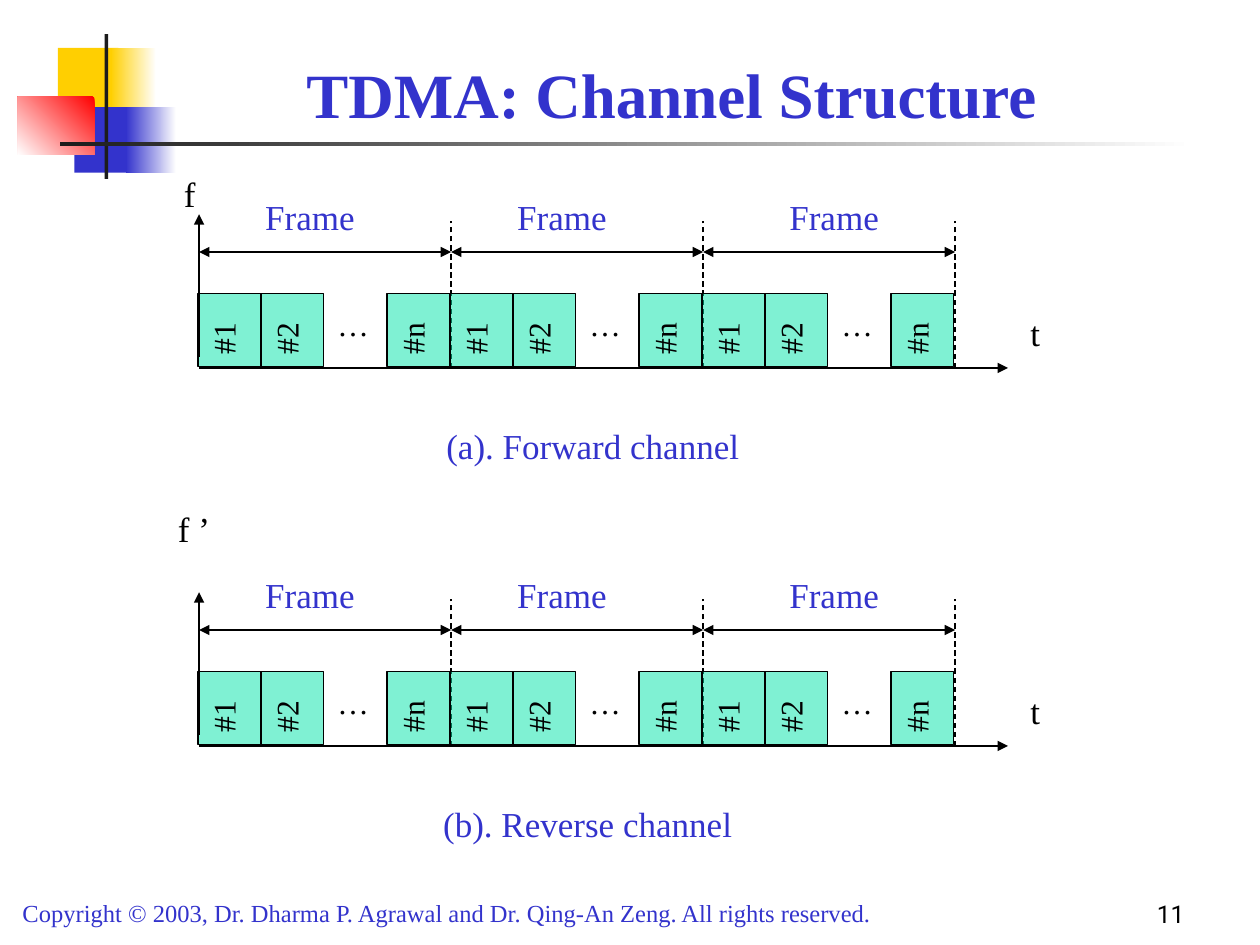
from lxml import etree
from pptx import Presentation
from pptx.dml.color import RGBColor
from pptx.enum.dml import MSO_LINE
from pptx.enum.shapes import MSO_CONNECTOR, MSO_SHAPE
from pptx.enum.text import MSO_ANCHOR, MSO_AUTO_SIZE, PP_ALIGN
from pptx.oxml.ns import qn
from pptx.util import Inches, Pt

LEFT, CENTER, RIGHT = PP_ALIGN.LEFT, PP_ALIGN.CENTER, PP_ALIGN.RIGHT
TOP, BOTTOM = MSO_ANCHOR.TOP, MSO_ANCHOR.BOTTOM
GROW, FIXED = MSO_AUTO_SIZE.SHAPE_TO_FIT_TEXT, MSO_AUTO_SIZE.NONE
RECT, STRAIGHT, DASH = MSO_SHAPE.RECTANGLE, MSO_CONNECTOR.STRAIGHT, MSO_LINE.DASH
SERIF = "Times New Roman"
BLUE, BLACK, DARK, WHITE = "3333CC", "000000", "1C1C1C", "FFFFFF"
GOLD, RED, GREEN = "FFCF01", "FF0000", "00E4A8"
rgb = RGBColor.from_string

deck = Presentation()
deck.slide_width, deck.slide_height = Inches(10), Inches(7.5)
slide = deck.slides.add_slide(deck.slide_layouts[5])
shapes = slide.shapes


def write(shape, text, size, color=BLACK, align=LEFT, font=SERIF, anchor=TOP, fit=GROW):
    frame = shape.text_frame
    frame.word_wrap, frame.auto_size = True, fit
    frame.vertical_anchor = anchor
    frame.text = text
    para = frame.paragraphs[0]
    para.alignment = align
    para.font.name, para.font.size = font, Pt(size)
    para.font.color.rgb = rgb(color)
    return para


def draw_line(x1, y1, x2, y2, ends=(), dash=None):
    """Draw a thin black line; ends lists the arrowhead tags it carries."""
    line = shapes.add_connector(STRAIGHT, Inches(x1), Inches(y1), Inches(x2), Inches(y2))
    line.line.width = Pt(0.75)
    line.line.color.rgb = rgb(BLACK)
    if dash:
        line.line.dash_style = dash
    props = line._element.spPr
    for end in ends:
        etree.SubElement(props.find(qn("a:ln")), qn(end), type="triangle")
    etree.SubElement(props, qn("a:effectLst"))


# Corner ornament: a single colour is solid, a pair is a gradient
ornament = [
    (0.46, 0.38, 0.48, 0.52, [GOLD], 0),
    (0.88, 0.38, 0.36, 0.52, [WHITE, GOLD], 180),
    (0.59, 0.85, 0.46, 0.52, [BLUE], 0),
    (1, 0.85, 0.4, 0.52, [WHITE, BLUE], 180),
    (0.14, 0.77, 0.61, 0.46, [RED, WHITE], 225),
    (0.83, 0.27, 0.03, 1.15, [DARK], 0),
    (0.48, 1.13, 9, 0.03, [WHITE, DARK], 180),
]
for x, y, w, h, colors, angle in ornament:
    block = shapes.add_shape(RECT, Inches(x), Inches(y), Inches(w), Inches(h))
    block.shadow.inherit = False
    block.line.fill.background()
    if len(colors) == 1:
        block.fill.solid()
        block.fill.fore_color.rgb = rgb(colors[0])
    else:
        block.fill.gradient()
        block.fill.gradient_angle = angle
        for stop, color, place in zip(block.fill.gradient_stops, colors, (0, 1)):
            stop.color.rgb = rgb(color)
            stop.position = place

title = shapes.title
title.left, title.top = Inches(1.08), Inches(0.42)
title.width, title.height = Inches(8.5), Inches(0.67)
write(title, "TDMA: Channel Structure", 36, BLUE, CENTER,
      anchor=BOTTOM, fit=FIXED).font.bold = True

# Each channel: top offset, axis name and its place, caption and its width
channels = [
    (0, "f ", 1.32, "(a). Forward channel", 2.75),
    (3, "f ’", 3.98, "(b). Reverse channel", 2.67),
]
starts = [1.58, 3.58, 5.58]
names = [1.92, 3.92, 6.08]
slots = [("#1", 0), ("#2", 0.5), ("#n", 1.5)]

for top, axis, high, caption, wide in channels:
    labels = [
        (1.08, high, 0.92, axis, 20, BLACK, CENTER),
        (8.08, top + 2.42, 0.58, "t", 20, BLACK, LEFT),
        (3.33, top + 3.32, wide, caption, 20, BLUE, CENTER),
    ]
    draw_line(1.58, top + 2.92, 8, top + 2.92, ["a:tailEnd"])
    for start, name in zip(starts, names):
        for text, shift in slots:
            slot = shapes.add_shape(RECT, Inches(start - 0.01 + shift), Inches(top + 2.33),
                                    Inches(0.5), Inches(0.58))
            slot.shadow.inherit = False
            slot.rotation = 180
            slot.fill.solid()
            slot.fill.fore_color.rgb = rgb(GREEN)
            tint = slot._element.spPr.find(qn("a:solidFill")).find(qn("a:srgbClr"))
            etree.SubElement(tint, qn("a:alpha"), val="50000")
            slot.line.color.rgb = rgb(BLACK)
            slot.line.width = Pt(0.75)
            write(slot, text, 18, align=CENTER)
            body = slot.text_frame
            body.margin_left = body.margin_right = Inches(0.05)
            body.margin_top = body.margin_bottom = Inches(0.1)
            body._txBody.bodyPr.set("vert", "eaVert")
        end = start + 2
        draw_line(end, top + 2.92, end, top + 1.75, dash=DASH)
        draw_line(start, top + 2, end, top + 2, ["a:headEnd", "a:tailEnd"])
        labels += [
            (start + 1, top + 2.37, 0.5, "…", 18, BLACK, LEFT),
            (name, top + 1.5, 1.08, "Frame", 20, BLUE, CENTER),
        ]
    draw_line(1.58, top + 2.83, 1.58, top + 1.7, ["a:tailEnd"])
    for x, y, w, text, size, color, align in labels:
        tall = 0.44 if size == 20 else 0.4
        box = shapes.add_textbox(Inches(x), Inches(y), Inches(w), Inches(tall))
        write(box, text, size, color, align)

rights = shapes.add_textbox(Inches(0.08), Inches(7.08), Inches(7.58), Inches(0.34))
write(rights, "Copyright © 2003, Dr. Dharma P. Agrawal and Dr. Qing-An Zeng. "
      "All rights reserved.", 14, BLUE)
number = shapes.add_textbox(Inches(7.42), Inches(6.92), Inches(2.08), Inches(0.5))
write(number, "11", 14, align=RIGHT, font="Roboto", anchor=BOTTOM, fit=FIXED)

deck.save("out.pptx")
